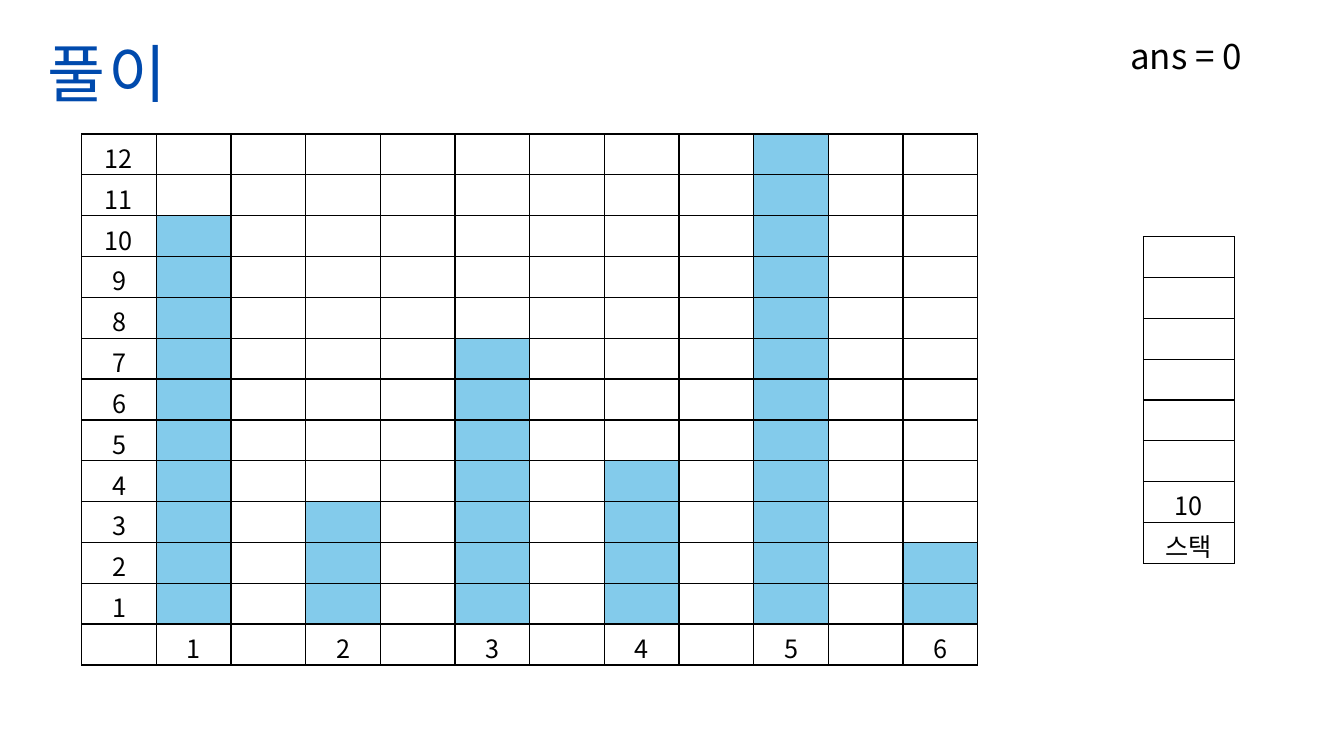
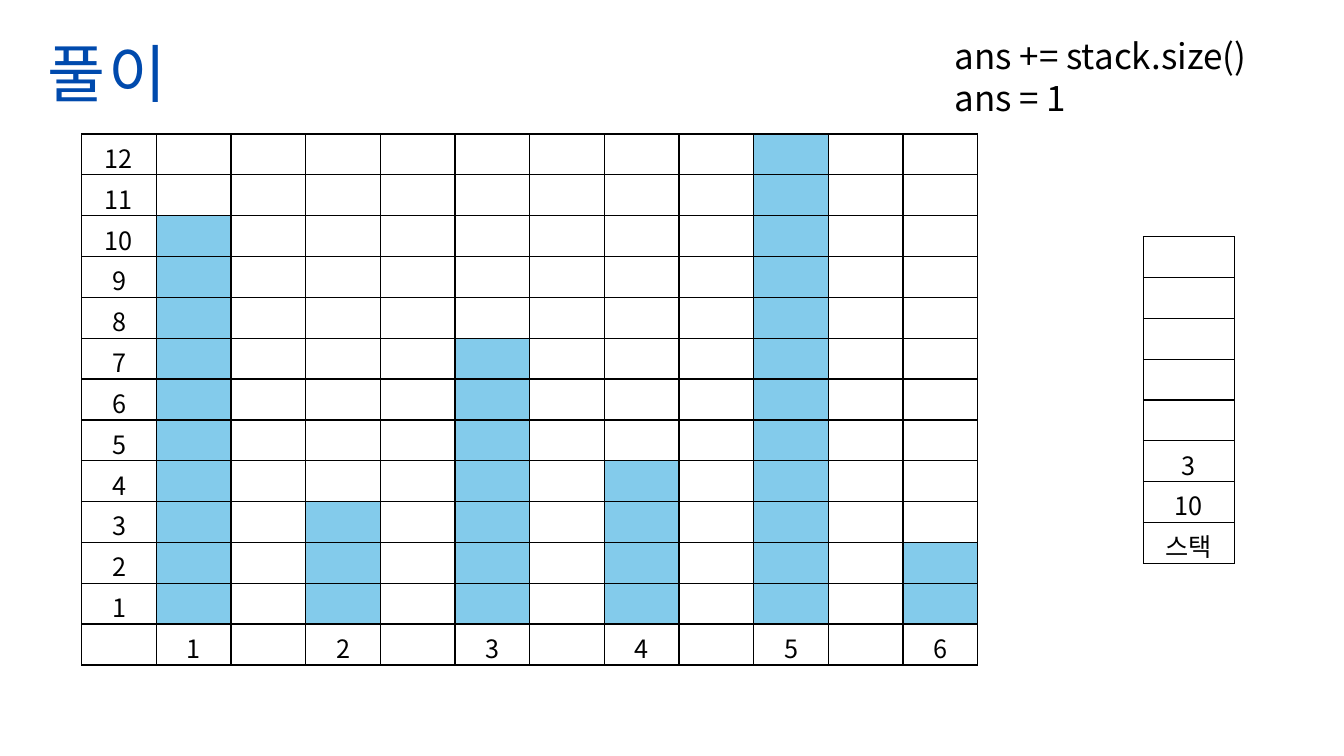
from lxml import etree
from pptx import Presentation
from pptx.dml.color import RGBColor
from pptx.enum.text import PP_ALIGN
from pptx.oxml.ns import qn
from pptx.util import Inches, Pt

LEFT, CENTER = PP_ALIGN.LEFT, PP_ALIGN.CENTER
FONT = "Noto Sans CJK KR"
BLACK, BLUE, SKY = "000000", "004AAD", "83CBEB"
HEIGHTS = [10, 3, 7, 4, 12, 2]
TOP_LEVEL = 12
STACK_ROWS = 8
STEPS = [
    {"answer": ["ans = 0"], "left": 11.11, "width": 1.55, "stack": [10]},
    {"answer": ["ans += stack.size()", "ans = 1"], "left": 9.37, "width": 3.94, "stack": [10, 3]},
]


def write(frame, *lines, size=18, color=BLACK, align=CENTER, line_height=None, spacing=None):
    for number, line in enumerate(lines):
        paragraph = frame.add_paragraph() if number else frame.paragraphs[0]
        paragraph.alignment = align
        if line_height:
            paragraph.line_spacing = Pt(line_height)
        run = paragraph.add_run()
        run.text = line
        run.font.size = Pt(size)
        run.font.name = FONT
        run.font.color.rgb = RGBColor.from_string(color)
        properties = run.font._element
        etree.SubElement(properties, qn("a:ea")).set("typeface", FONT)
        if spacing:
            properties.set("spc", str(round(spacing * 100)))


def add_grid(slide, texts, filled, left, top, width, height):
    rows, columns = len(texts), len(texts[0])
    grid = slide.shapes.add_table(
        rows, columns, Inches(left), Inches(top), Inches(width), Inches(height)).table
    grid.first_row = grid.horz_banding = False
    for r, row in enumerate(texts):
        for c, text in enumerate(row):
            cell = grid.cell(r, c)
            if text:
                write(cell.text_frame, text)
            # Borders come before the fill in the cell properties
            properties = cell._tc.get_or_add_tcPr()
            for side in ("a:lnL", "a:lnR", "a:lnT", "a:lnB"):
                border = etree.SubElement(properties, qn(side), w=str(Pt(1)))
                solid = etree.SubElement(border, qn("a:solidFill"))
                etree.SubElement(solid, qn("a:srgbClr"), val=BLACK)
            if (r, c) in filled:
                cell.fill.solid()
                cell.fill.fore_color.rgb = RGBColor.from_string(SKY)
            else:
                cell.fill.background()


prs = Presentation()
prs.slide_width, prs.slide_height = Inches(13.33), Inches(7.5)

# Bar grid: levels down the left, bar numbers along the bottom, a gap after each bar
columns = 2 * len(HEIGHTS)
levels = [[str(level)] + [""] * (columns - 1) for level in range(TOP_LEVEL, 0, -1)]
bar_numbers = ["" if c % 2 == 0 else str(c // 2 + 1) for c in range(columns)]
bars = {(TOP_LEVEL - level, 2 * bar + 1)
        for bar, height in enumerate(HEIGHTS) for level in range(1, height + 1)}

for step in STEPS:
    slide = prs.slides.add_slide(prs.slide_layouts[6])

    # Title
    title = slide.shapes.add_textbox(
        Inches(0.34), Inches(-0.11), Inches(1.44), Inches(1.1)).text_frame
    title.margin_left = title.margin_right = title.margin_top = title.margin_bottom = 0
    title.word_wrap = True
    write(title, "풀이", size=45, color=BLUE, line_height=86.9, spacing=2.2)

    # Bars and stack
    add_grid(slide, levels + [bar_numbers], bars, 0.81, 1.33, 8.89, 5.27)
    stack = ["스택"] + [str(value) for value in step["stack"]]
    stack += [""] * (STACK_ROWS - len(stack))
    add_grid(slide, [[text] for text in reversed(stack)], set(), 11.34, 2.35, 0.9, 3.24)

    # Running answer
    answer = slide.shapes.add_textbox(
        Inches(step["left"]), Inches(0.29), Inches(step["width"]),
        Inches(0.1 + 0.42 * len(step["answer"]))).text_frame
    answer.word_wrap = True
    write(answer, *step["answer"], size=25, align=LEFT)

prs.save("out.pptx")
